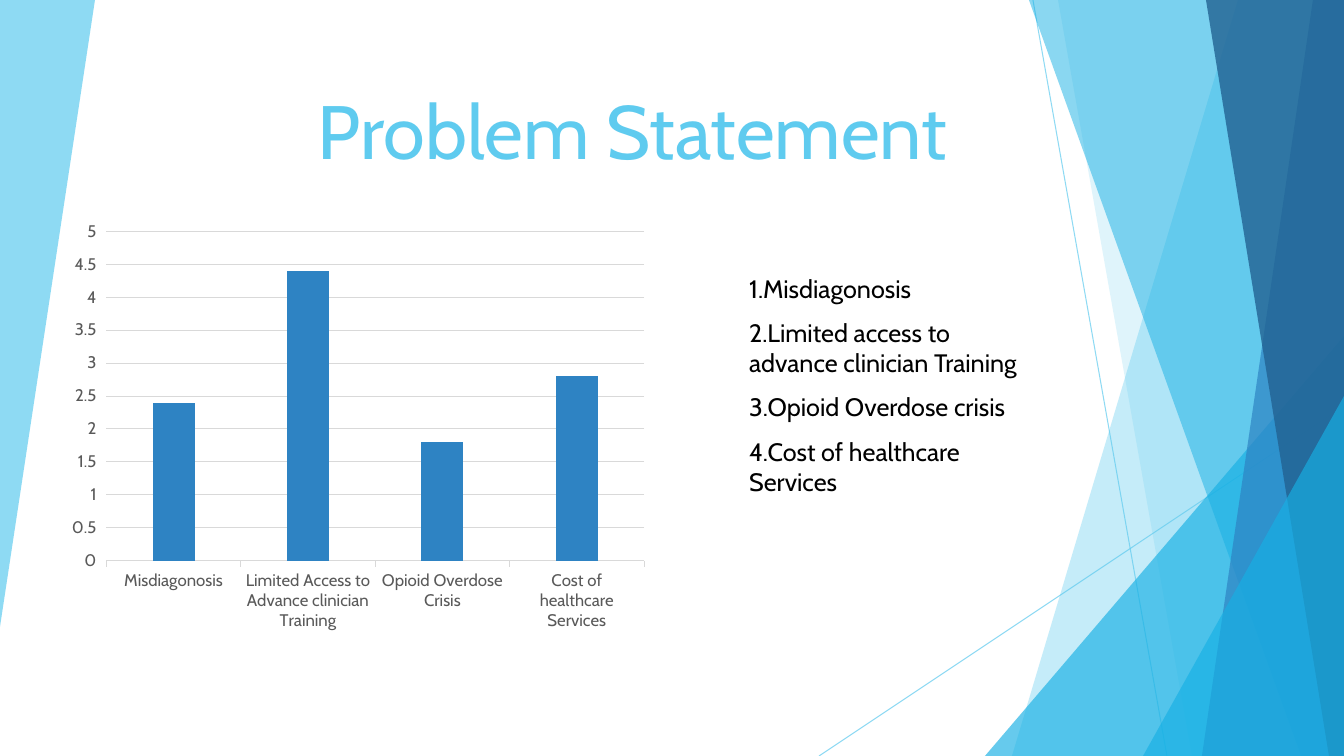
import pptx
import pptx.chart.data
import pptx.dml.color
import pptx.enum.chart
import pptx.enum.shapes
import pptx.enum.text
import pptx.oxml
import pptx.oxml.ns
import pptx.util

RGB = pptx.dml.color.RGBColor
SKY = RGB(0x5F, 0xCB, 0xEF)
CYAN = RGB(0x17, 0xB0, 0xE4)
BLUE = RGB(0x2E, 0x83, 0xC3)
NAVY = RGB(0x22, 0x62, 0x92)
BLACK = RGB(0, 0, 0)
LABEL_GREY = RGB(0x59, 0x59, 0x59)
GRID_GREY = RGB(0xD9, 0xD9, 0xD9)
FONT = "Cabin"

WIDTH, HEIGHT = 1344, 756
EMU_PER_PX = 12192000 / WIDTH


def px(length):
    return pptx.util.Emu(round(length * EMU_PER_PX))


def set_opacity(color_format_owner, percent):
    color = color_format_owner.find(".//" + pptx.oxml.ns.qn("a:srgbClr"))
    alpha = pptx.oxml.parse_xml(
        f'<a:alpha {pptx.oxml.ns.nsdecls("a")} val="{percent * 1000}"/>')
    color.append(alpha)


deck = pptx.Presentation()
deck.slide_width, deck.slide_height = px(WIDTH), px(HEIGHT)
slide = deck.slides.add_slide(deck.slide_layouts[0])
shapes = slide.shapes

# Thin crossing lines
for x1, y1, x2, y2 in [(1033, 0, 1167, HEIGHT), (WIDTH, 406, 819, HEIGHT)]:
    ray = shapes.add_connector(pptx.enum.shapes.MSO_CONNECTOR.STRAIGHT,
                               px(x1), px(y1), px(x2), px(y2))
    ray.line.color.rgb = SKY
    ray.line.width = pptx.util.Pt(0.75)
    properties = ray.element.spPr
    set_opacity(properties, 70)
    properties.append(pptx.oxml.parse_xml(
        f'<a:effectLst {pptx.oxml.ns.nsdecls("a")}/>'))

# Translucent facets: a left wedge, then bands and triangles reaching the right edge
TRIANGLE, BAND, WEDGE = "triangle", "band", "wedge"
facets = [  # kind, two defining lengths, colour, opacity
    (WEDGE, 95, 627, SKY, 70),        # top width, height
    (BAND, 1238, 1012, SKY, 36),      # left edge at the top, at the bottom
    (BAND, 1058, 1192, SKY, 20),
    (TRIANGLE, 985, 336, CYAN, 66),   # left, top
    (BAND, 1029, 1301, CYAN, 50),
    (BAND, 1313, 1202, BLUE, 70),
    (BAND, 1206, 1329, NAVY, 80),
    (TRIANGLE, 1143, 396, CYAN, 66),
]
for kind, first, second, color, opacity in facets:
    if kind == TRIANGLE:
        facet = shapes.add_shape(
            pptx.enum.shapes.MSO_SHAPE.ISOSCELES_TRIANGLE,
            px(first), px(second), px(WIDTH - first), px(HEIGHT - second))
        facet.adjustments[0] = 1
    else:
        if kind == WEDGE:
            corners = [(0, 0), (first, 0), (0, second)]
        else:
            corners = [(first, 0), (WIDTH, 0), (WIDTH, HEIGHT), (second, HEIGHT)]
        outline = shapes.build_freeform(*corners[0], scale=EMU_PER_PX)
        outline.add_line_segments(corners[1:], close=True)
        facet = outline.convert_to_shape()
    facet.shadow.inherit = False
    facet.line.fill.background()
    facet.fill.solid()
    facet.fill.fore_color.rgb = color
    set_opacity(facet.element.spPr, opacity)

# Title and list of problems, brought in front of the facets
heading = shapes.title
problems = slide.placeholders[1]
heading.text_frame.text = "Problem Statement"
problems.text_frame.text = "\n".join([
    "1.Misdiagonosis",
    "2.Limited access to advance clinician Training",
    "3.Opioid Overdose crisis",
    "4.Cost of healthcare Services",
])
ANCHOR = pptx.enum.text.MSO_ANCHOR
ALIGN = pptx.enum.text.PP_ALIGN
for block, box, anchor, align, size, color, space in [
    (heading, (101, -1, 856, 181), ANCHOR.BOTTOM, ALIGN.RIGHT, 54, SKY, 0),
    (problems, (739, 268, 313, 349), ANCHOR.TOP, ALIGN.LEFT, 18, BLACK, 10),
]:
    block.left, block.top, block.width, block.height = map(px, box)
    frame = block.text_frame
    frame.word_wrap = True
    frame.auto_size = pptx.enum.text.MSO_AUTO_SIZE.NONE
    frame.vertical_anchor = anchor
    for paragraph in frame.paragraphs:
        paragraph.alignment = align
        paragraph.space_before = pptx.util.Pt(space)
        for run in paragraph.runs:
            run.font.name = FONT
            run.font.size = pptx.util.Pt(size)
            run.font.color.rgb = color
    block.element.getparent().append(block.element)

# Column chart of the problems
chart_data = pptx.chart.data.CategoryChartData()
chart_data.categories = [
    "Misdiagonosis",
    "Limited Access to Advance clinician Training",
    "Opioid Overdose Crisis",
    "Cost of healthcare Services",
]
chart_data.add_series("Series 1", [2.4, 4.4, 1.8, 2.8])
chart = shapes.add_chart(pptx.enum.chart.XL_CHART_TYPE.COLUMN_CLUSTERED,
                         px(60), px(213), px(596), px(426), chart_data).chart
chart.has_legend = False
chart.has_title = False
chart.font.name = FONT
chart.font.size = pptx.util.Pt(10)

columns = chart.plots[0]
columns.vary_by_categories = False
columns.gap_width = 219
columns.overlap = -27
columns.series[0].format.fill.solid()
columns.series[0].format.fill.fore_color.rgb = BLUE

problem_axis, score_axis = chart.category_axis, chart.value_axis
for axis in (problem_axis, score_axis):
    axis.major_tick_mark = pptx.enum.chart.XL_TICK_MARK.OUTSIDE
    axis.tick_labels.font.name = FONT
    axis.tick_labels.font.size = pptx.util.Pt(12)
    axis.tick_labels.font.color.rgb = LABEL_GREY
score_axis.minimum_scale = 0
score_axis.maximum_scale = 5
score_axis.major_unit = 0.5
score_axis.format.line.fill.background()
for line in (problem_axis.format.line, score_axis.major_gridlines.format.line):
    line.color.rgb = GRID_GREY
    line.width = pptx.util.Pt(0.75)

deck.save("out.pptx")
